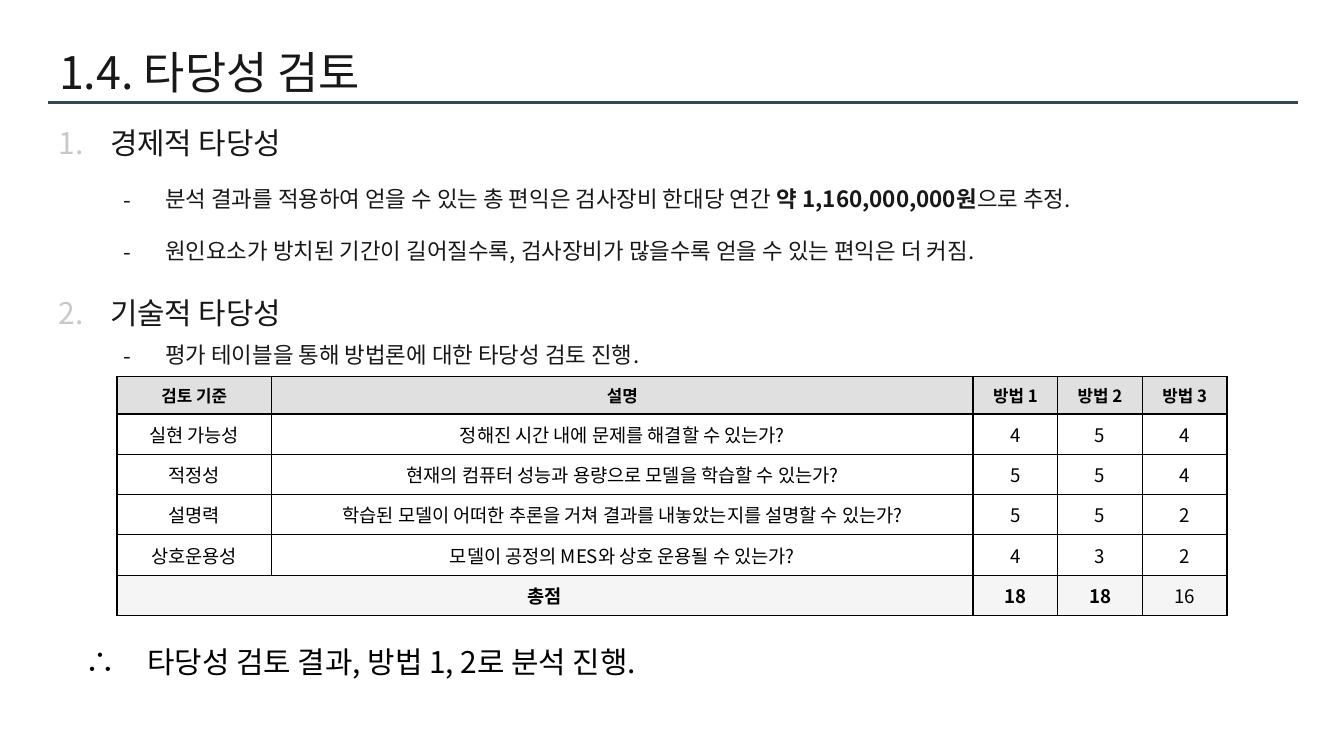
from lxml.etree import SubElement
from pptx import Presentation
from pptx.dml.color import RGBColor
from pptx.enum.shapes import MSO_CONNECTOR
from pptx.enum.text import MSO_ANCHOR, PP_ALIGN
from pptx.oxml.ns import qn
from pptx.util import Inches, Pt

FONT = "Noto Sans CJK KR"
DARK = "181818"
BLACK = "000000"

POINTS = [
    (0, 1, [("경제적 타당성", False)]),
    (1, 1.5, [("분석 결과를 적용하여 얻을 수 있는 총 편익은 검사장비 한대당 연간 ", False),
              ("약 1,160,000,000원", True), ("으로 추정.", False)]),
    (1, 1.5, [("원인요소가 방치된 기간이 길어질수록, 검사장비가 많을수록 얻을 수 있는 "
               "편익은 더 커짐.", False)]),
    (0, 1.15, [("기술적 타당성", False)]),
    (1, 1, [("평가 테이블을 통해 방법론에 대한 타당성 검토 진행.", False)]),
]
ROWS = [
    ("검토 기준", "설명", "방법 1", "방법 2", "방법 3"),
    ("실현 가능성", "정해진 시간 내에 문제를 해결할 수 있는가?", 4, 5, 4),
    ("적정성", "현재의 컴퓨터 성능과 용량으로 모델을 학습할 수 있는가?", 5, 5, 4),
    ("설명력", "학습된 모델이 어떠한 추론을 거쳐 결과를 내놓았는지를 설명할 수 있는가?", 5, 5, 2),
    ("상호운용성", "모델이 공정의 MES와 상호 운용될 수 있는가?", 4, 3, 2),
    ("총점", "", 18, 18, 16),
]


def color(code):
    return RGBColor.from_string(code)


def style(run, size, code, bold=False):
    run.font.size = Pt(size)
    run.font.name = FONT
    run.font.bold = bold
    run.font.color.rgb = color(code)
    props = run.font._element
    props.set("kern", "0")
    SubElement(props, qn("a:ea")).set("typeface", FONT)


def place(shape, box):
    shape.left, shape.top, shape.width, shape.height = map(Inches, box)


def inset(frame, gap):
    frame.margin_left = frame.margin_right = Inches(gap)
    frame.margin_top = frame.margin_bottom = Inches(gap)


def add_head(slide, box):
    title = slide.shapes.title
    place(title, box)
    frame = title.text_frame
    frame.text = "1.4. 타당성 검토"
    frame.vertical_anchor = MSO_ANCHOR.MIDDLE
    inset(frame, 0.1)
    frame.paragraphs[0].alignment = PP_ALIGN.LEFT
    style(frame.paragraphs[0].runs[0], 24, DARK)

    left, top, width, _ = box
    rule = slide.shapes.add_connector(
        MSO_CONNECTOR.STRAIGHT, Inches(left + 0.02), Inches(top + 0.54),
        Inches(left + width), Inches(top + 0.54))
    rule.line.color.rgb = color("37474F")
    rule.line.width = Pt(1.5)
    SubElement(rule._element.spPr, qn("a:effectLst"))


def add_mark(para, level):
    """Number the top level and put a dash before the second."""
    props = para._p.get_or_add_pPr()
    left, hang = [(0.38, 0.38), (0.79, 0.31)][level]
    props.set("marL", str(Inches(left)))
    props.set("indent", str(-Inches(hang)))
    tint = SubElement(props, qn("a:buClr"))
    SubElement(tint, qn("a:srgbClr")).set("val", ["C8C8C8", DARK][level])
    SubElement(props, qn("a:buFont")).set("typeface", FONT)
    if level:
        SubElement(props, qn("a:buChar")).set("char", "-")
    else:
        SubElement(props, qn("a:buAutoNum")).set("type", "arabicPeriod")


def add_points(slide, box):
    frame = slide.shapes.add_textbox(*map(Inches, box)).text_frame
    frame.word_wrap = True
    inset(frame, 0.1)
    for i, (level, space, parts) in enumerate(POINTS):
        para = frame.add_paragraph() if i else frame.paragraphs[0]
        para.level = level
        add_mark(para, level)
        para.line_spacing = float(space)
        para.space_after = Pt(6)
        if i and level == 0:
            para.space_before = Pt(7.5)
        for text, bold in parts:
            run = para.add_run()
            run.text = text
            style(run, 12 if level else 16, DARK, bold)


def add_edges(cell):
    props = cell._tc.get_or_add_tcPr()
    for i, side in enumerate(("lnL", "lnR", "lnT", "lnB")):
        line = props.makeelement(qn("a:" + side), {"w": str(Pt(0.75))})
        fill = SubElement(line, qn("a:solidFill"))
        SubElement(fill, qn("a:srgbClr")).set("val", BLACK)
        props.insert(i, line)


def add_scores(slide, box):
    last = len(ROWS) - 1
    table = slide.shapes.add_table(len(ROWS), 5, *map(Inches, box)).table
    for col, width in zip(table.columns, (1.15, 5.22, 0.63, 0.63, 0.63)):
        col.width = Inches(width)
    for r, values in enumerate(ROWS):
        table.rows[r].height = Inches(0.3 if r else 0.28)
        for c, value in enumerate(values):
            cell = table.cell(r, c)
            cell.text = str(value)
            cell.vertical_anchor = MSO_ANCHOR.MIDDLE
            cell.fill.solid()
            cell.fill.fore_color.rgb = color({0: "E0E0E0", last: "F5F5F5"}.get(r, "FFFFFF"))
            add_edges(cell)
            para = cell.text_frame.paragraphs[0]
            para.alignment = PP_ALIGN.CENTER
            bold = r == 0 or (r == last and c < 4)
            for run in para.runs:
                style(run, 10 if r else 9, BLACK, bold)
    table.cell(last, 0).merge(table.cell(last, 1))


def add_result(slide, box):
    frame = slide.shapes.add_textbox(*map(Inches, box)).text_frame
    frame.word_wrap = True
    para = frame.paragraphs[0]
    para.text = "∴\t타당성 검토 결과, 방법 1, 2로 분석 진행."
    para.line_spacing = 1.5
    tabs = SubElement(para._p.get_or_add_pPr(), qn("a:tabLst"))
    SubElement(tabs, qn("a:tab"), pos=str(Inches(0.46)), algn="l")
    for run in para.runs:
        style(run, 16, BLACK)


def main():
    deck = Presentation()
    deck.slide_width, deck.slide_height = Inches(10), Inches(5.625)
    slide = deck.slides.add_slide(deck.slide_layouts[5])
    add_head(slide, (0.34, 0.22, 9.32, 0.63))
    add_points(slide, (0.34, 0.83, 9.32, 3.94))
    add_scores(slide, (0.87, 2.8, 8.26, 1.78))
    add_result(slide, (0.54, 4.61, 4.46, 0.47))
    deck.save("out.pptx")


if __name__ == "__main__":
    main()
